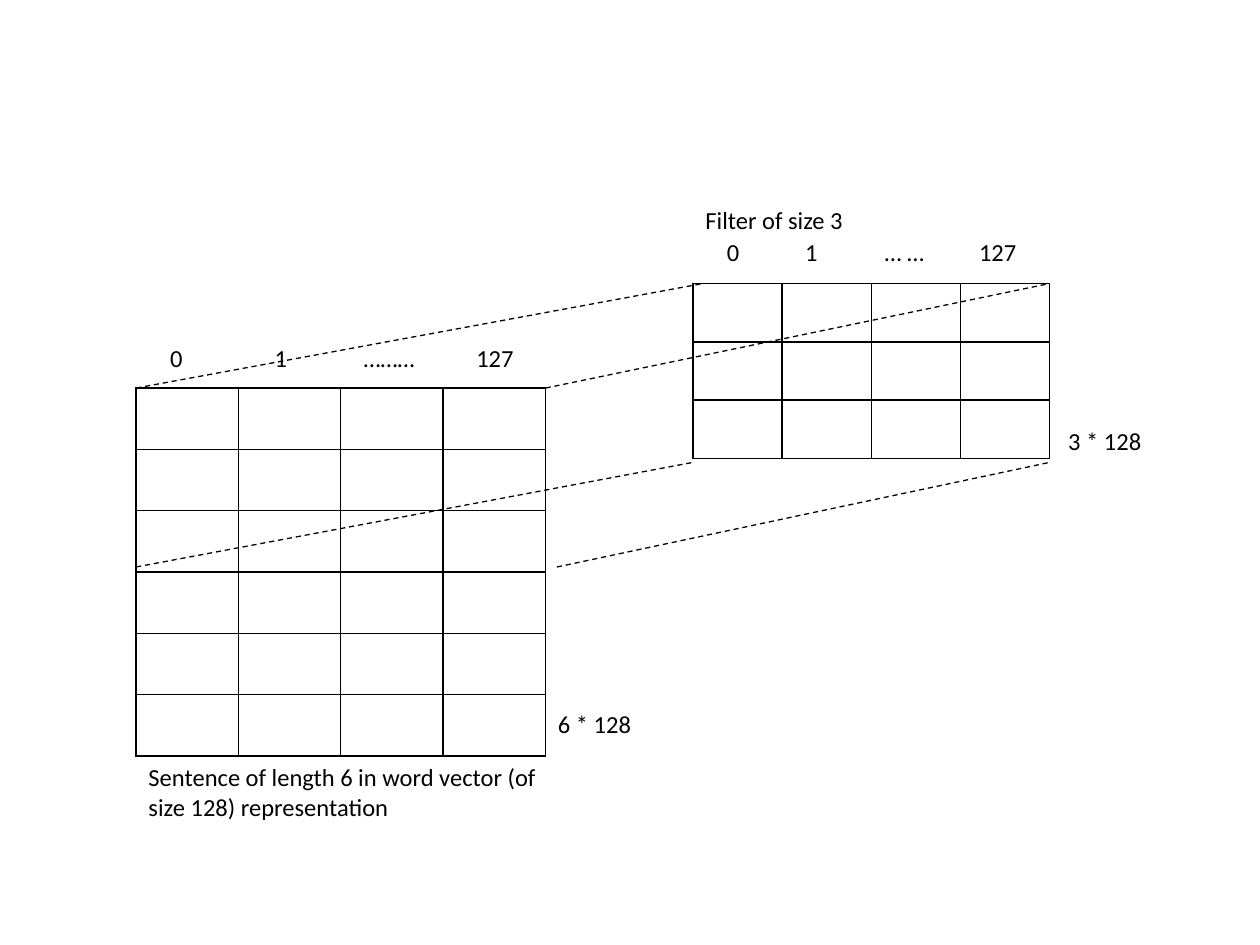
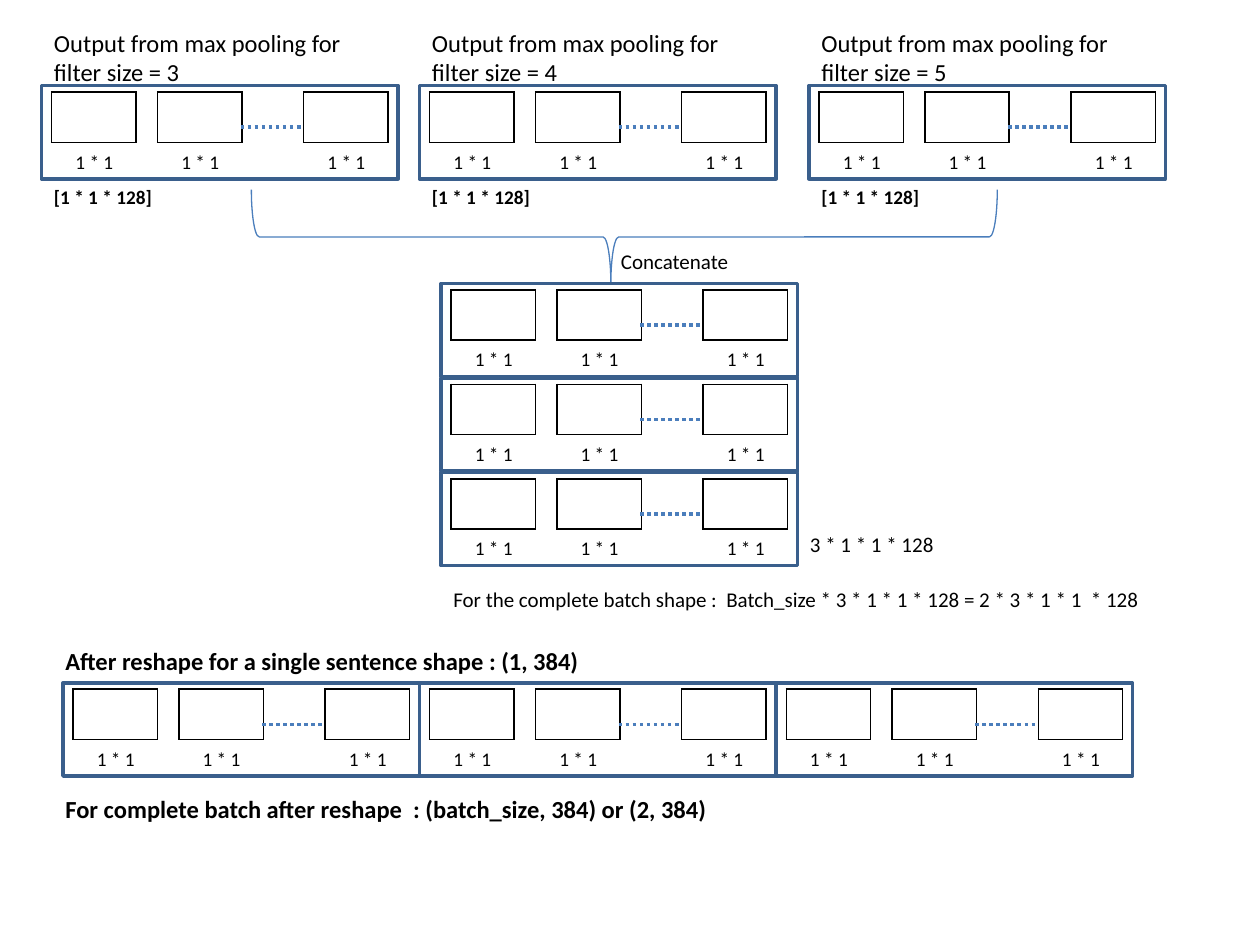
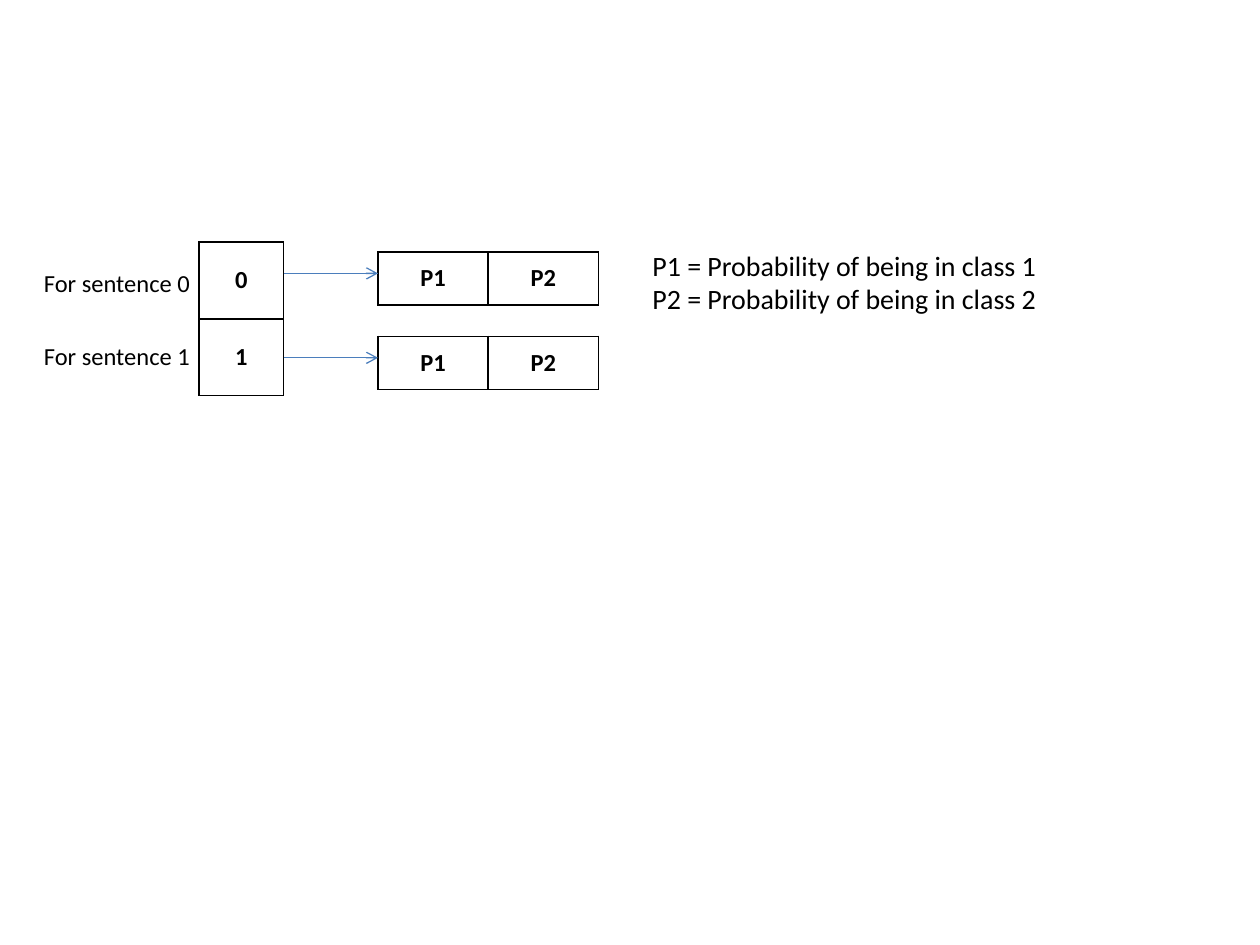
from dataclasses import dataclass

from lxml.etree import SubElement
from pptx import Presentation
from pptx.dml.color import RGBColor
from pptx.enum.dml import MSO_LINE
from pptx.enum.shapes import MSO_CONNECTOR, MSO_SHAPE
from pptx.enum.text import MSO_ANCHOR, MSO_AUTO_SIZE, PP_ALIGN
from pptx.oxml.ns import qn
from pptx.util import Inches, Pt


@dataclass(frozen=True)
class Theme:
    font: str = "Calibri"
    ink: RGBColor = RGBColor(0x00, 0x00, 0x00)
    paper: RGBColor = RGBColor(0xFF, 0xFF, 0xFF)
    frame: RGBColor = RGBColor(0x3A, 0x5F, 0x8C)
    accent: RGBColor = RGBColor(0x4B, 0x7E, 0xBC)
    small: int = 11
    note: int = 12
    body: int = 14
    large: int = 16
    hairline: float = 0.75
    border: float = 1
    heavy: float = 2


THEME = Theme()


# Element helpers
def format_runs(text_frame, size, bold=False):
    for paragraph in text_frame.paragraphs:
        for run in paragraph.runs:
            run.font.name = THEME.font
            run.font.size = Pt(size)
            run.font.bold = bold
            run.font.color.rgb = THEME.ink


def add_text(slide, text, left, top, width, height, size=THEME.body, bold=False):
    box = slide.shapes.add_textbox(Inches(left), Inches(top), Inches(width), Inches(height))
    text_frame = box.text_frame
    text_frame.word_wrap = True
    text_frame.auto_size = MSO_AUTO_SIZE.SHAPE_TO_FIT_TEXT
    text_frame.text = text
    format_runs(text_frame, size, bold)
    return box


def add_column_labels(slide, labels, left, top, width, centers):
    """One line of labels, each centred on its own tab stop."""
    box = add_text(slide, "".join("\t" + label for label in labels), left, top, width, 0.4)
    properties = box.text_frame.paragraphs[0]._p.get_or_add_pPr()
    tab_list = SubElement(properties, qn("a:tabLst"))
    for center in centers:
        SubElement(tab_list, qn("a:tab"), pos=str(Inches(center)), algn="ctr")


def add_line(slide, start, end, color, width, dash=None, arrow=False):
    connector = slide.shapes.add_connector(
        MSO_CONNECTOR.STRAIGHT, *(Inches(value) for value in (*start, *end)))
    connector.line.color.rgb = color
    connector.line.width = Pt(width)
    if dash:
        connector.line.dash_style = dash
    properties = connector.element.spPr
    if arrow:
        SubElement(properties.find(qn("a:ln")), qn("a:tailEnd"), type="arrow")
    SubElement(properties, qn("a:effectLst"))


def add_outline(slide, preset, left, top, width, height, color, line_width):
    shape = slide.shapes.add_shape(
        preset, Inches(left), Inches(top), Inches(width), Inches(height))
    shape.shadow.inherit = False
    shape.fill.background()
    shape.line.color.rgb = color
    shape.line.width = Pt(line_width)
    return shape


def add_borders(cell_element):
    properties = cell_element.get_or_add_tcPr()
    for index, side in enumerate(("lnL", "lnR", "lnT", "lnB")):
        line = SubElement(properties, qn(f"a:{side}"), w=str(Pt(THEME.border)))
        fill = SubElement(line, qn("a:solidFill"))
        SubElement(fill, qn("a:srgbClr"), val=str(THEME.ink))
        properties.insert(index, line)


def add_grid(slide, left, top, width, height, rows, columns, texts=None):
    """Bordered table: white empty cells, or clear cells with centred bold texts."""
    frame = slide.shapes.add_table(
        rows, columns, Inches(left), Inches(top), Inches(width), Inches(height))
    table = frame.table
    table.first_row = False
    table.horz_banding = False
    for index, cell in enumerate(table.iter_cells()):
        if texts:
            cell.fill.background()
            cell.vertical_anchor = MSO_ANCHOR.MIDDLE
            cell.text_frame.text = texts[index]
            cell.text_frame.paragraphs[0].alignment = PP_ALIGN.CENTER
            format_runs(cell.text_frame, THEME.body, bold=True)
        else:
            cell.fill.solid()
            cell.fill.fore_color.rgb = THEME.paper
            cell.margin_top = cell.margin_bottom = 0
    for cell_element in frame.element.iter(qn("a:tc")):
        add_borders(cell_element)


STRIP_WIDTH = 2.83


def add_pooled_strip(slide, left, top):
    """Framed row of 1 * 1 cells, the omitted ones shown as a dotted line."""
    add_outline(slide, MSO_SHAPE.RECTANGLE, left, top, STRIP_WIDTH, 0.74,
                THEME.frame, THEME.heavy)
    for offset in (0.08, 0.92, 2.08):
        add_grid(slide, left + offset, top + 0.05, 0.67, 0.4, 1, 1)
        add_text(slide, "1 * 1", left + offset + 0.09, top + 0.46, 0.92, 0.29, THEME.small)
    add_line(slide, (left + 1.58, top + 0.33), (left + 2.08, top + 0.33),
             THEME.accent, THEME.heavy, MSO_LINE.ROUND_DOT)


# Slides
def build_filter_slide(slide):
    add_grid(slide, 1.08, 3.08, 3.25, 2.92, 6, 4)
    add_grid(slide, 5.5, 2.25, 2.83, 1.39, 3, 4)

    # Projection of the filter onto the sentence
    for start, end in (((1.08, 3.08), (5.58, 2.25)), ((4.33, 3.08), (8.33, 2.25)),
                       ((1.08, 4.5), (5.5, 3.67)), ((4.42, 4.5), (8.33, 3.67))):
        add_line(slide, start, end, THEME.ink, THEME.hairline, MSO_LINE.DASH)

    add_column_labels(slide, ("0", "1", "………", "127"), 1.08, 2.67, 3.25,
                      (0.22, 1.05, 1.91, 2.75))
    add_column_labels(slide, ("0", "1", "… …", "127"), 5.5, 1.83, 2.83,
                      (0.22, 0.84, 1.58, 2.32))
    add_text(slide, "6 * 128", 4.33, 5.58, 3.25, 0.34)
    add_text(slide, "3 * 128", 8.38, 3.33, 1.04, 0.33)
    add_text(slide, "Sentence of length 6 in word vector (of size 128) representation",
             1.08, 6, 3.42, 0.57)
    add_text(slide, "Filter of size 3", 5.5, 1.58, 3.42, 0.34)


def build_pooling_slide(slide):
    # Max pooling outputs
    for filter_size, left in ((3, 0.33), (4, 3.33), (5, 6.42)):
        add_pooled_strip(slide, left, 0.68)
        add_text(slide, f"Output from max pooling for\nfilter size = {filter_size}",
                 left, 0.17, 3.58, 0.57)
        add_text(slide, "[1 * 1 * 128]", left, 1.42, 1.5, 0.29, THEME.small, bold=True)

    # Concatenation
    brace = add_outline(slide, MSO_SHAPE.LEFT_BRACE, 4.58, -1.08, 0.75, 5.92,
                        THEME.accent, THEME.hairline)
    brace.rotation = 270
    brace.adjustments[0] = 0.083
    brace.adjustments[1] = 0.482
    add_text(slide, "Concatenate", 4.83, 1.92, 2.5, 0.3, THEME.note)
    for row in range(3):
        add_pooled_strip(slide, 3.5, 2.25 + 0.75 * row)
    add_text(slide, "3 * 1 * 1 * 128", 6.33, 4.17, 1.67, 0.3, THEME.note)
    add_text(slide, "For the complete batch shape :  Batch_size * 3 * 1 * 1 * 128"
             " = 2 * 3 * 1 * 1  * 128", 3.5, 4.61, 6, 0.3, THEME.note)

    # Reshape
    for column in range(3):
        add_pooled_strip(slide, 0.5 + STRIP_WIDTH * column, 5.42)
    add_text(slide, "After reshape for a single sentence shape : (1, 384)",
             0.42, 5.08, 5, 0.34, bold=True)
    add_text(slide, "For complete batch after reshape  : (batch_size, 384) or (2, 384)",
             0.42, 6.25, 5.42, 0.34, bold=True)


def build_probability_slide(slide):
    add_grid(slide, 1.58, 1.92, 0.67, 1.22, 2, 1, ("0", "1"))
    for sentence, (table_top, label_top) in enumerate(((2, 2.08), (2.67, 2.66))):
        add_grid(slide, 3, table_top, 1.75, 0.42, 1, 2, ("P1", "P2"))
        arrow_y = table_top + 0.17
        add_line(slide, (2.25, arrow_y), (3, arrow_y), THEME.accent, THEME.hairline,
                 arrow=True)
        add_text(slide, f"For sentence {sentence}", 0.25, label_top, 1.5, 0.34)
    add_text(slide, "P1 = Probability of being in class 1\n"
             "P2 = Probability of being in class 2", 5.08, 1.92, 3.33, 0.64, THEME.large)


def main():
    presentation = Presentation()
    presentation.slide_width = Inches(10)
    presentation.slide_height = Inches(7.5)
    blank_layout = presentation.slide_layouts[6]
    for build in (build_filter_slide, build_pooling_slide, build_probability_slide):
        build(presentation.slides.add_slide(blank_layout))
    presentation.save("out.pptx")


main()
